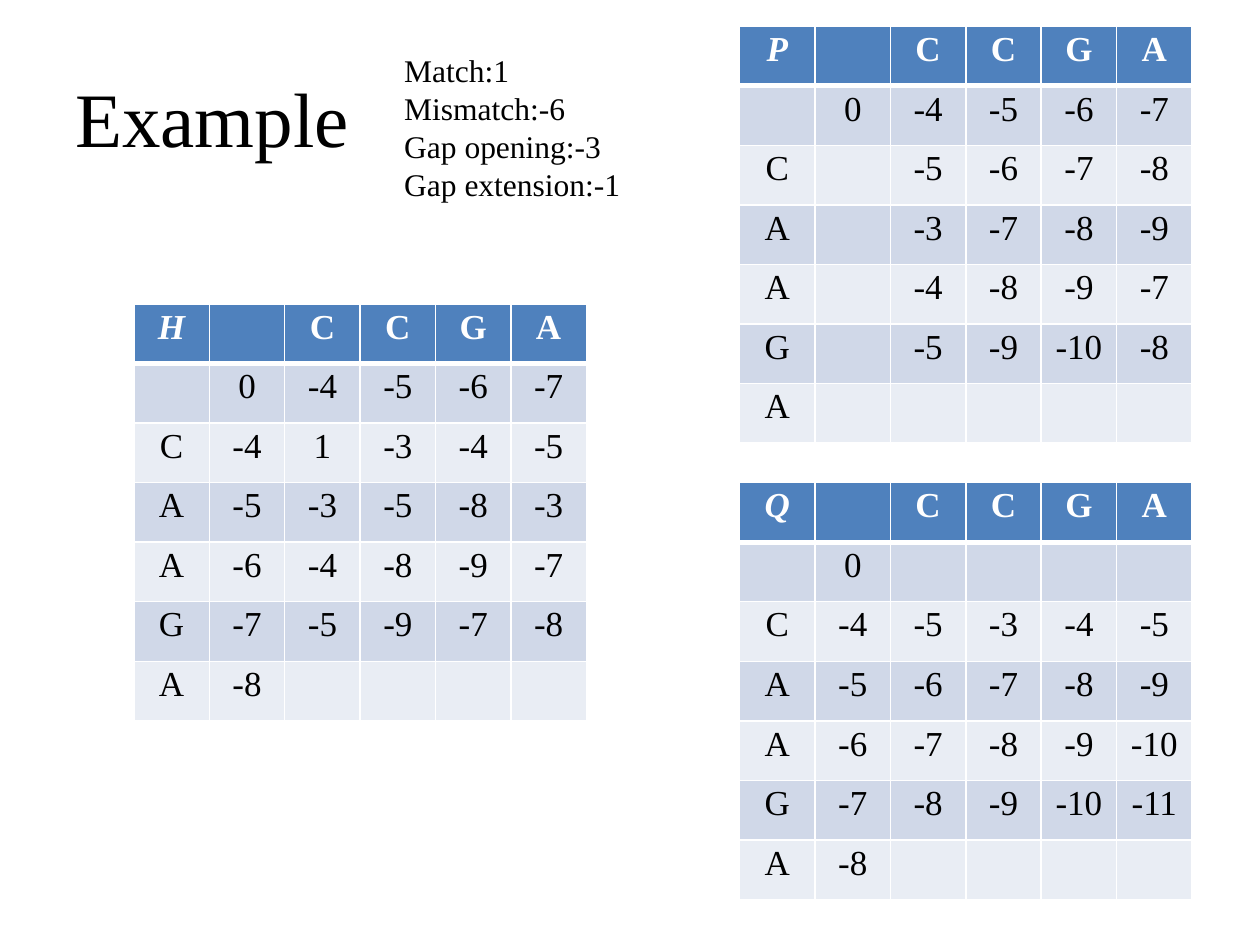
from dataclasses import dataclass

from lxml.etree import SubElement
from pptx import Presentation
from pptx.dml.color import RGBColor
from pptx.enum.text import MSO_ANCHOR, PP_ALIGN
from pptx.oxml.ns import qn
from pptx.util import Cm, Pt

FONT = "Times New Roman"
BLACK = RGBColor(0x00, 0x00, 0x00)
WHITE = RGBColor(0xFF, 0xFF, 0xFF)
HEADER_BLUE = RGBColor(0x4F, 0x81, 0xBD)
BAND_DARK = RGBColor(0xD0, 0xD8, 0xE8)
BAND_LIGHT = RGBColor(0xE9, 0xED, 0xF4)

COLUMN_WIDTH = 1.52
ROW_HEIGHT = 1.2
TOP_SEQUENCE = ["", "C", "C", "G", "A"]
SIDE_SEQUENCE = ["", "C", "A", "A", "G", "A"]


@dataclass
class ScoreMatrix:
    name: str
    left: float
    top: float
    scores: list[list[str]]


@dataclass
class TextBlock:
    lines: list[str]
    left: float
    top: float
    width: float
    height: float
    size: int
    anchor: MSO_ANCHOR
    wrap: bool


MATRICES = [
    ScoreMatrix("H", 2.7, 6.13, [
        ["0", "-4", "-5", "-6", "-7"],
        ["-4", "1", "-3", "-4", "-5"],
        ["-5", "-3", "-5", "-8", "-3"],
        ["-6", "-4", "-8", "-9", "-7"],
        ["-7", "-5", "-9", "-7", "-8"],
        ["-8", "", "", "", ""],
    ]),
    ScoreMatrix("P", 14.91, 0.53, [
        ["0", "-4", "-5", "-6", "-7"],
        ["", "-5", "-6", "-7", "-8"],
        ["", "-3", "-7", "-8", "-9"],
        ["", "-4", "-8", "-9", "-7"],
        ["", "-5", "-9", "-10", "-8"],
        ["", "", "", "", ""],
    ]),
    ScoreMatrix("Q", 14.91, 9.73, [
        ["0", "", "", "", ""],
        ["-4", "-5", "-3", "-4", "-5"],
        ["-5", "-6", "-7", "-8", "-9"],
        ["-6", "-7", "-8", "-9", "-10"],
        ["-7", "-8", "-9", "-10", "-11"],
        ["-8", "", "", "", ""],
    ]),
]

TEXT_BLOCKS = [
    TextBlock(["Example"], 1.27, 0.76, 22.86, 3.18, 44, MSO_ANCHOR.MIDDLE, True),
    TextBlock(["Match:1", "Mismatch:-6", "Gap opening:-3", "Gap extension:-1"],
              7.9, 0.91, 4.9, 3.33, 18, MSO_ANCHOR.TOP, False),
]


def style_font(font, size: int, color: RGBColor) -> None:
    font.name = FONT
    font.size = Pt(size)
    font.color.rgb = color


def add_text_block(page, block: TextBlock) -> None:
    box = page.shapes.add_textbox(Cm(block.left), Cm(block.top), Cm(block.width), Cm(block.height))
    frame = box.text_frame
    frame.word_wrap = block.wrap
    frame.vertical_anchor = block.anchor
    frame.text = "\n".join(block.lines)
    for para in frame.paragraphs:
        for span in para.runs:
            style_font(span.font, block.size, BLACK)


def add_borders(cell, top: int, bottom: int) -> None:
    """Draw white cell borders; must run before the cell is filled."""
    properties = cell._tc.get_or_add_tcPr()
    for side, width in (("L", 1), ("R", 1), ("T", top), ("B", bottom)):
        line = SubElement(properties, qn(f"a:ln{side}"), w=str(Pt(width)))
        fill = SubElement(line, qn("a:solidFill"))
        SubElement(fill, qn("a:srgbClr"), val=str(WHITE))


def format_cell(cell, text: str, row: int, column: int) -> None:
    is_header = row == 0
    add_borders(cell, top=3 if row == 1 else 1, bottom=3 if is_header else 1)
    cell.fill.solid()
    cell.fill.fore_color.rgb = HEADER_BLUE if is_header else BAND_DARK if row % 2 else BAND_LIGHT
    cell.margin_left = cell.margin_right = Cm(0.15)
    cell.margin_top = cell.margin_bottom = Cm(0.08)
    cell.text_frame.text = text
    para = cell.text_frame.paragraphs[0]
    para.alignment = PP_ALIGN.CENTER
    for span in para.runs:
        style_font(span.font, 20, WHITE if is_header else BLACK)
        span.font.bold = is_header
        span.font.italic = is_header and column == 0


def add_matrix(page, matrix: ScoreMatrix) -> None:
    rows = [[matrix.name, *TOP_SEQUENCE]]
    rows += [[letter, *scores] for letter, scores in zip(SIDE_SEQUENCE, matrix.scores)]
    frame = page.shapes.add_table(
        len(rows), len(rows[0]), Cm(matrix.left), Cm(matrix.top),
        Cm(COLUMN_WIDTH * len(rows[0])), Cm(ROW_HEIGHT * len(rows)))
    table = frame.table
    for column in table.columns:
        column.width = Cm(COLUMN_WIDTH)
    for row in table.rows:
        row.height = Cm(ROW_HEIGHT)
    for row_index, values in enumerate(rows):
        for column_index, text in enumerate(values):
            format_cell(table.cell(row_index, column_index), text, row_index, column_index)


def main() -> None:
    deck = Presentation()
    deck.slide_width, deck.slide_height = Cm(25.4), Cm(19.05)
    page = deck.slides.add_slide(deck.slide_layouts[6])

    # Title and scoring scheme
    for block in TEXT_BLOCKS:
        add_text_block(page, block)

    # Alignment score matrices
    for matrix in MATRICES:
        add_matrix(page, matrix)

    deck.save("out.pptx")


if __name__ == "__main__":
    main()
